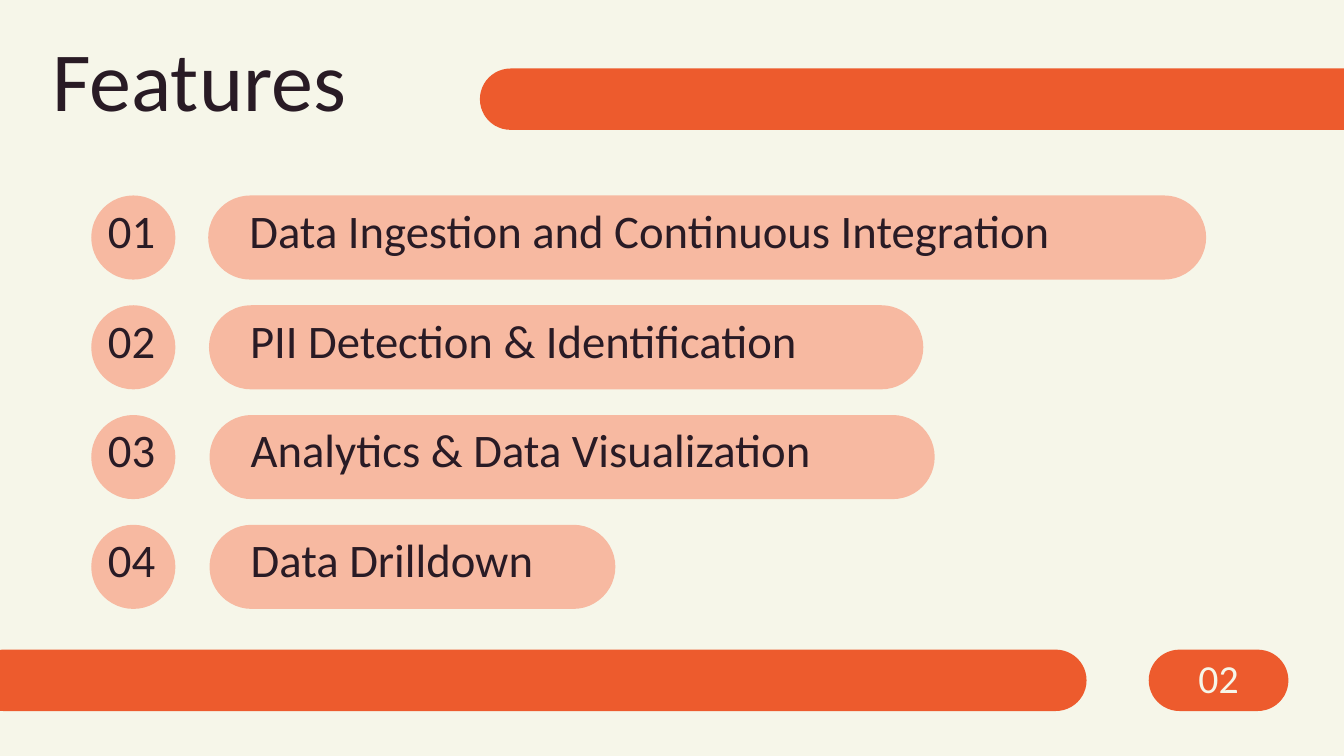
from pptx import Presentation
from pptx.dml.color import RGBColor
from pptx.enum.shapes import MSO_SHAPE
from pptx.enum.text import MSO_ANCHOR, MSO_AUTO_SIZE, PP_ALIGN
from pptx.util import Cm, Pt

CREAM, ORANGE, PEACH, INK = "F6F6E9", "ED5B2D", "F7B9A1", "291B25"
LINE_RATIO = 1.07

# Label, left edge and width of each feature's pill
FEATURES = [
    ("Data Ingestion and Continuous Integration", 7.87, 37.72),
    ("PII Detection & Identification", 7.9, 27),
    ("Analytics & Data Visualization", 7.92, 27.41),
    ("Data Drilldown", 7.92, 15.34),
]


def color(hex_code):
    return RGBColor.from_string(hex_code)


def set_text(shape, text, size, ink=INK, align=PP_ALIGN.CENTER, left=0, right=0):
    frame = shape.text_frame
    frame.word_wrap = True
    frame.auto_size = MSO_AUTO_SIZE.NONE
    frame.vertical_anchor = MSO_ANCHOR.TOP
    frame.margin_top = frame.margin_bottom = 0
    frame.margin_left, frame.margin_right = Cm(left), Cm(right)
    frame.text = text
    paragraph = frame.paragraphs[0]
    paragraph.alignment = align
    paragraph.line_spacing = Pt(round(size * LINE_RATIO, 1))
    paragraph.font.name = "Calibri"
    paragraph.font.size = Pt(size)
    paragraph.font.color.rgb = color(ink)


def add_block(slide, kind, box, fill):
    block = slide.shapes.add_shape(kind, *map(Cm, box))
    block.shadow.inherit = False
    block.fill.solid()
    block.fill.fore_color.rgb = color(fill)
    block.line.fill.background()
    return block


def add_pill(slide, box, fill):
    pill = add_block(slide, MSO_SHAPE.ROUNDED_RECTANGLE, box, fill)
    pill.adjustments[0] = 0.5
    return pill


def add_header(slide, left, top):
    add_pill(slide, (left + 16.16, top + 1.14, 35, 2.32), ORANGE)
    title = slide.shapes.title
    title.left, title.top, title.width, title.height = map(Cm, (left, top, 15.6, 4.19))
    set_text(title, "Features", 90, align=PP_ALIGN.LEFT)


def add_features(slide, left, top, height, pitch):
    for index, (label, pill_left, width) in enumerate(FEATURES):
        row_top = top + index * pitch
        number = add_block(slide, MSO_SHAPE.OVAL, (left, row_top, height, height), PEACH)
        set_text(number, f"{index + 1:02}", 50, right=0.13)
        pill = add_pill(slide, (pill_left, row_top, width, height), PEACH)
        set_text(pill, label, 50, align=PP_ALIGN.LEFT, left=1.09)


def add_footer(slide, left, top, height):
    # Long bar running in from the left edge, then the page number
    add_pill(slide, (left, top, 42.11, height), ORANGE)
    page_number = add_pill(slide, (left + 44.46, top, 5.28, height), ORANGE)
    set_text(page_number, "02", 42.6, ink=CREAM)


def main():
    deck = Presentation()
    deck.slide_width, deck.slide_height = Cm(50.8), Cm(28.58)
    slide = deck.slides.add_slide(deck.slide_layouts[5])
    slide.background.fill.solid()
    slide.background.fill.fore_color.rgb = color(CREAM)

    add_header(slide, left=1.98, top=1.45)
    add_features(slide, left=3.45, top=7.39, height=3.18, pitch=4.15)
    add_footer(slide, left=-1.04, top=24.56, height=2.32)
    deck.save("out.pptx")


if __name__ == "__main__":
    main()
